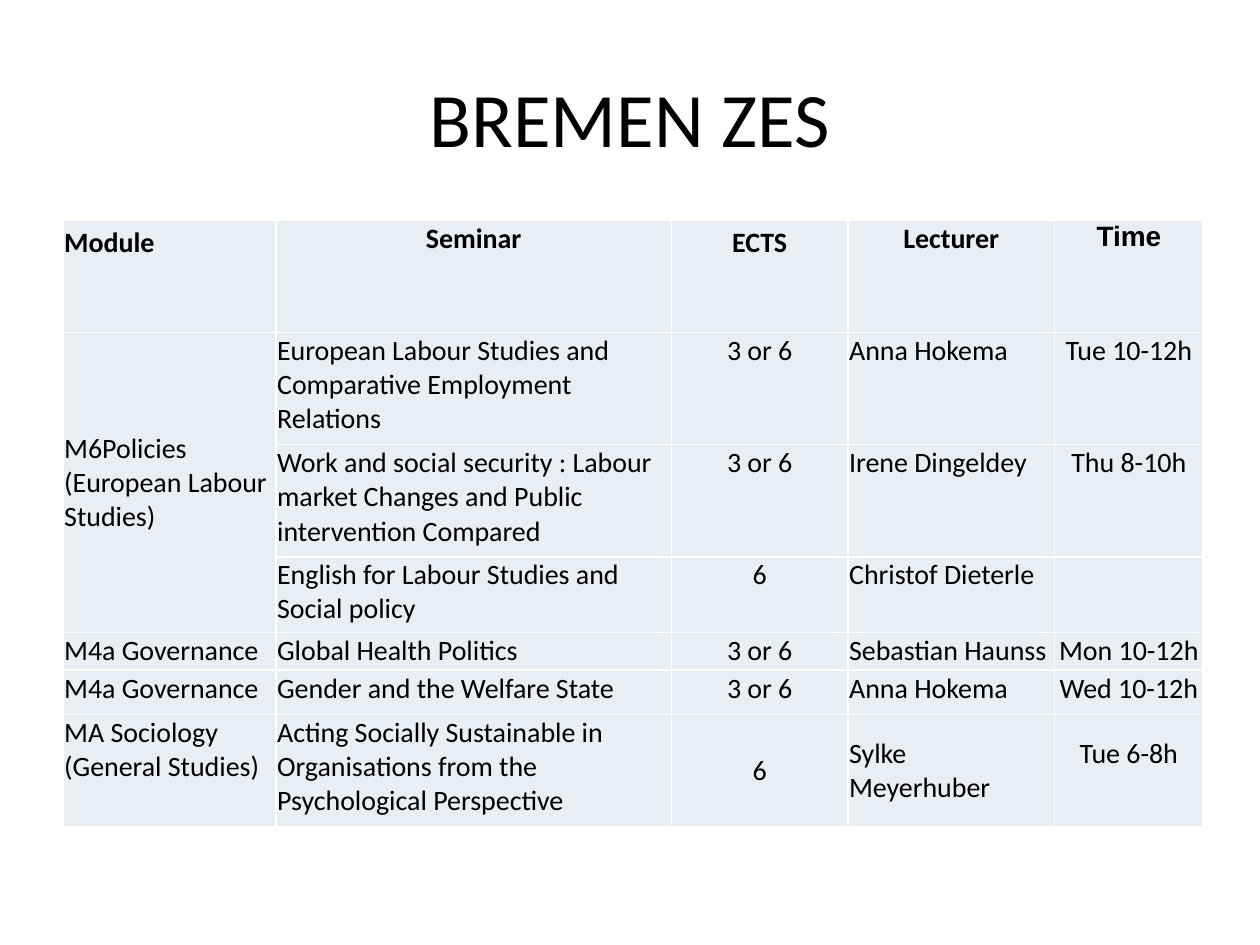
from dataclasses import dataclass

from lxml.etree import SubElement
from pptx import Presentation
from pptx.dml.color import RGBColor
from pptx.enum.text import MSO_ANCHOR as ANCHOR, PP_ALIGN as ALIGN
from pptx.oxml.ns import qn
from pptx.util import Inches, Pt


@dataclass(frozen=True)
class Theme:
    font: str = "Calibri"
    time_font: str = "Arial"
    title_size: int = 44
    table_size: int = 16
    ink: str = "000000"
    cell: str = "E9EDF4"
    border: str = "FFFFFF"


class Deck:
    def __init__(self, theme):
        self.theme = theme
        self.prs = Presentation()
        self.prs.slide_width, self.prs.slide_height = Inches(10), Inches(7.5)
        self.s = self.prs.slides.add_slide(self.prs.slide_layouts[5])

    def add_text(self, tf, text, size, align, bold=False, font=None):
        p = tf.paragraphs[0]
        p.alignment = align
        r = p.add_run()
        r.text = text
        r.font.name = font or self.theme.font
        r.font.size = Pt(size)
        r.font.bold = bold
        r.font.color.rgb = RGBColor.from_string(self.theme.ink)

    def title(self, text, left, top, width, height):
        sp = self.s.shapes.title
        sp.left, sp.top = Inches(left), Inches(top)
        sp.width, sp.height = Inches(width), Inches(height)
        sp.text_frame.vertical_anchor = ANCHOR.MIDDLE
        self.add_text(sp.text_frame, text, self.theme.title_size, ALIGN.CENTER)

    def table(self, left, top, widths, heights):
        frame = self.s.shapes.add_table(
            len(heights), len(widths), Inches(left), Inches(top),
            Inches(sum(widths)), Inches(sum(heights)))
        table = frame.table
        table.first_row = table.horz_banding = False
        for column, width in zip(table.columns, widths):
            column.width = Inches(width)
        for row, height in zip(table.rows, heights):
            row.height = Inches(height)
        for cell in table.iter_cells():
            self.style_cell(cell)
        return table

    def style_cell(self, cell):
        cell.margin_left = cell.margin_right = cell.margin_top = Inches(0.01)
        cell.margin_bottom = 0
        tc_pr = cell._tc.get_or_add_tcPr()
        for side in ("a:lnL", "a:lnR", "a:lnT", "a:lnB"):
            ln = SubElement(tc_pr, qn(side), w=str(Pt(1)))
            fill = SubElement(ln, qn("a:solidFill"))
            SubElement(fill, qn("a:srgbClr"), val=self.theme.border)
        cell.fill.solid()
        cell.fill.fore_color.rgb = RGBColor.from_string(self.theme.cell)

    def cell(self, cell, text, align, bold=False, font=None):
        cell.vertical_anchor = ANCHOR.TOP
        self.add_text(cell.text_frame, text, self.theme.table_size, align, bold, font)


HEADERS = ("Module", "Seminar", "ECTS", "Lecturer", "Time")
COURSES = (
    ("M6Policies (European Labour Studies)",
     "European Labour Studies and Comparative Employment Relations",
     "3 or 6", "Anna Hokema", "Tue 10-12h"),
    ("", "Work and social security : Labour market Changes and Public "
     "intervention Compared", "3 or 6", "Irene Dingeldey", "Thu 8-10h"),
    ("", "English for Labour Studies and Social policy",
     "6", "Christof Dieterle", ""),
    ("M4a Governance", "Global Health Politics",
     "3 or 6", "Sebastian Haunss", "Mon 10-12h"),
    ("M4a Governance", "Gender and the Welfare State",
     "3 or 6", "Anna Hokema", "Wed 10-12h"),
    ("MA Sociology (General Studies)",
     "Acting Socially Sustainable in Organisations from the "
     "Psychological Perspective", "6", "Sylke Meyerhuber", "Tue 6-8h"),
)
ALIGNS = (ALIGN.LEFT, ALIGN.LEFT, ALIGN.CENTER, ALIGN.LEFT, ALIGN.CENTER)

theme = Theme()
deck = Deck(theme)
deck.title("BREMEN ZES", 0.5, 0.3, 9, 1.25)
table = deck.table(0.5, 1.75, (1.69, 3.14, 1.4, 1.64, 1.18),
                   (0.89, 0.89, 0.89, 0.6, 0.3, 0.35, 0.89))

for col, text in enumerate(HEADERS):
    deck.cell(table.cell(0, col), text,
              ALIGN.CENTER if col else ALIGN.JUSTIFY, bold=True,
              font=theme.time_font if text == "Time" else None)
for col in (0, 2):
    table.cell(0, col).margin_top = Inches(0.04)

for row, course in enumerate(COURSES, 1):
    for col, (text, align) in enumerate(zip(course, ALIGNS)):
        if text:
            deck.cell(table.cell(row, col), text, align)

table.cell(1, 0).merge(table.cell(3, 0))
for row, col in ((1, 0), (6, 2), (6, 3), (6, 4)):
    table.cell(row, col).vertical_anchor = ANCHOR.MIDDLE
table.cell(6, 4).margin_bottom = Inches(0.27)

deck.prs.save("out.pptx")
